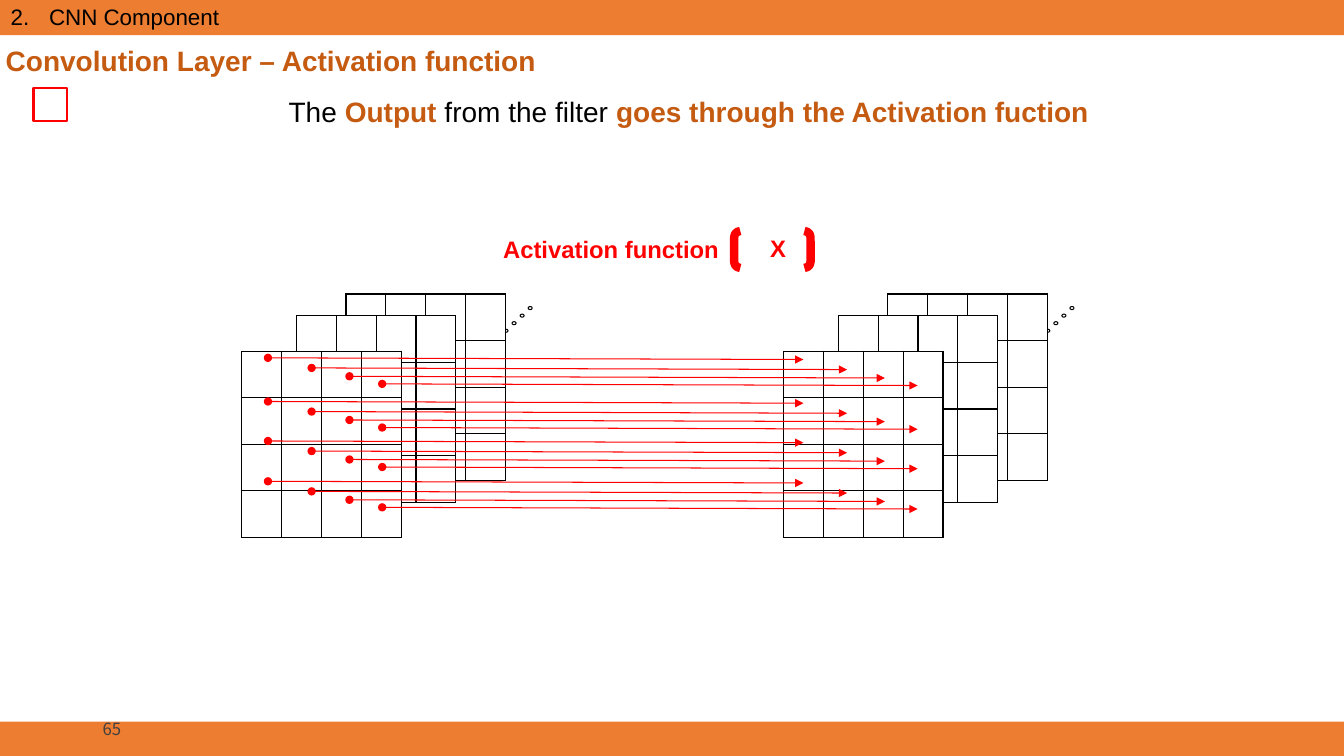
from itertools import product

from lxml.etree import SubElement
from pptx import Presentation
from pptx.dml.color import RGBColor
from pptx.enum.shapes import MSO_CONNECTOR as Connector, MSO_SHAPE as Shape
from pptx.enum.text import MSO_ANCHOR as Anchor, MSO_AUTO_SIZE as Fit, PP_ALIGN as Align
from pptx.oxml import parse_xml
from pptx.oxml.ns import nsdecls, qn
from pptx.util import Inches, Pt

COLOURS = {
    "bar": "ED7D31",
    "accent": "C55A11",
    "red": "FF0000",
    "black": "000000",
    "grey": "404040",
    "white": "FFFFFF",
}
COLUMNS, ROWS = 160, 90
GRID_SIZE = 4
CELL_WIDTH, CELL_HEIGHT = 4.74, 5.55
MAP_SHIFT = 64.5
STACK = [(41.2, 35), (35.3, 37.6), (28.8, 41.8)]
LANES = [(31.9, 0), (37.1, 1.2), (41.6, 2.2), (45.5, 3.1)]
LANE_TOPS = [42.6, 47.8, 52.5, 57.3]


def colour(name):
    """Return a named colour."""
    return RGBColor.from_string(COLOURS[name])


class Painter:
    """Draw styled elements on one slide, measured in grid columns and rows."""

    def __init__(self, deck, page):
        """Keep the page and its grid units."""
        self.page = page
        self.font = "Arial"
        self.column = deck.slide_width / COLUMNS
        self.row = deck.slide_height / ROWS

    def place(self, left, top, width, height):
        """Convert a grid area to slide lengths."""
        return (round(left * self.column), round(top * self.row),
                round(width * self.column), round(height * self.row))

    def shape(self, kind, area, fill=None, line=None, weight=0.75):
        """Add a preset shape."""
        item = self.page.shapes.add_shape(kind, *self.place(*area))
        item.shadow.inherit = False
        if fill:
            item.fill.solid()
            item.fill.fore_color.rgb = colour(fill)
        else:
            item.fill.background()
        if line:
            item.line.color.rgb = colour(line)
            item.line.width = Pt(weight)
        else:
            item.line.fill.background()

    def add_span(self, para, text, size, tint, bold=False, font=None):
        """Add one run to a paragraph."""
        span = para.add_run()
        span.text = text
        span.font.size = Pt(size)
        span.font.name = font or self.font
        span.font.bold = bold
        span.font.color.rgb = colour(tint)

    def text(self, area, text, size, tint, bold=False, font=None,
             align=Align.LEFT, anchor=Anchor.TOP, number=None):
        """Add a one-paragraph text box, numbered if asked."""
        box = self.page.shapes.add_textbox(*self.place(*area))
        box.text_frame.word_wrap = True
        box.text_frame.vertical_anchor = anchor
        para = box.text_frame.paragraphs[0]
        para.alignment = align
        if number:
            indent = Inches(0.38)
            settings = para._p.get_or_add_pPr()
            settings.set("marL", str(indent))
            settings.set("indent", str(-indent))
            SubElement(settings, qn("a:buAutoNum"), type="arabicPeriod", startAt=str(number))
        self.add_span(para, text, size, tint, bold, font)

    def title(self, area, spans, size):
        """Move and fill the title placeholder."""
        box = self.page.shapes.title
        box.left, box.top, box.width, box.height = self.place(*area)
        frame = box.text_frame
        frame.word_wrap = True
        frame.auto_size = Fit.NONE
        frame.vertical_anchor = Anchor.MIDDLE
        para = frame.paragraphs[0]
        para.alignment = Align.CENTER
        para.line_spacing = 0.9
        for text, tint, bold in spans:
            self.add_span(para, text, size, tint, bold)

    def feature_grid(self, left, top):
        """Add an empty square table with thin black borders."""
        area = self.place(left, top, GRID_SIZE * CELL_WIDTH, GRID_SIZE * CELL_HEIGHT)
        table = self.page.shapes.add_table(GRID_SIZE, GRID_SIZE, *area).table
        table.first_row = table.horz_banding = False
        for row, column in product(range(GRID_SIZE), repeat=2):
            cell = table.cell(row, column)
            cell.fill.solid()
            cell.fill.fore_color.rgb = colour("white")
            for index, side in enumerate("LRTB"):
                border = parse_xml(
                    f'<a:ln{side} {nsdecls("a")} w="{Pt(1)}"><a:solidFill>'
                    f'<a:srgbClr val="{COLOURS["black"]}"/></a:solidFill></a:ln{side}>')
                cell._tc.get_or_add_tcPr().insert(index, border)

    def feature_stack(self, shift):
        """Add a trail of dots and three overlapping grids."""
        for step in range(4):
            area = (60 + shift + 0.96 * step, 39.2 - 0.9 * step, 0.48, 0.36)
            self.shape(Shape.FLOWCHART_CONNECTOR, area, line="black")
        for left, top in STACK:
            self.feature_grid(left + shift, top)

    def arrow(self, left, top, across, down):
        """Add a red arrow that starts with a dot."""
        start_x, start_y, width, height = self.place(left, top, across, down)
        line = self.page.shapes.add_connector(
            Connector.STRAIGHT, start_x, start_y, start_x + width, start_y + height)
        line.line.color.rgb = colour("red")
        line.line.width = Pt(0.75)
        stroke = line.line._get_or_add_ln()
        SubElement(stroke, qn("a:headEnd"), type="oval")
        SubElement(stroke, qn("a:tailEnd"), type="triangle")
        SubElement(line._element.spPr, qn("a:effectLst"))


def main():
    """Build and save the slide."""
    deck = Presentation()
    deck.slide_width, deck.slide_height = Inches(13.33), Inches(7.5)
    page = deck.slides.add_slide(deck.slide_layouts[5])
    painter = Painter(deck, page)

    painter.shape(Shape.RECTANGLE, (0, 85.9, COLUMNS, 4.1), fill="bar")
    painter.text((11.04, 84.4, 36, 4.8), "65", 12, "grey",
                 font="Noto Sans CJK KR", anchor=Anchor.MIDDLE)
    painter.shape(Shape.RECTANGLE, (0, 0, COLUMNS, 4.2), fill="bar")
    painter.text((0.1, -0.24, 51, 4.4), "CNN Component", 16, "black", number=2)
    painter.shape(Shape.RECTANGLE, (4, 10.5, 4, 3.9), line="red", weight=1.75)
    painter.text((-0.5, 4.6, 67, 5.3), "Convolution Layer – Activation function",
                 20, "accent", bold=True)
    painter.title((32.2, 10.55, 99.6, 6), [
        ("The ", "black", False),
        ("Output", "accent", True),
        (" from the filter ", "black", False),
        ("goes through the Activation fuction", "accent", True),
    ], 20)

    for shift in (0, MAP_SHIFT):
        painter.feature_stack(shift)
    for (left, drop), top in product(LANES, LANE_TOPS):
        painter.arrow(left, top + drop, 63.75, 0.2)

    painter.shape(Shape.DOUBLE_BRACKET, (87.4, 27.5, 9.1, 4.4), line="red", weight=6)
    for area, label in (((58.1, 27.4, 29.3, 4.7), "Activation function"),
                        ((90.5, 27.25, 2.9, 4.7), "X")):
        painter.text(area, label, 17, "red", bold=True, align=Align.CENTER)

    deck.save("out.pptx")


if __name__ == "__main__":
    main()
